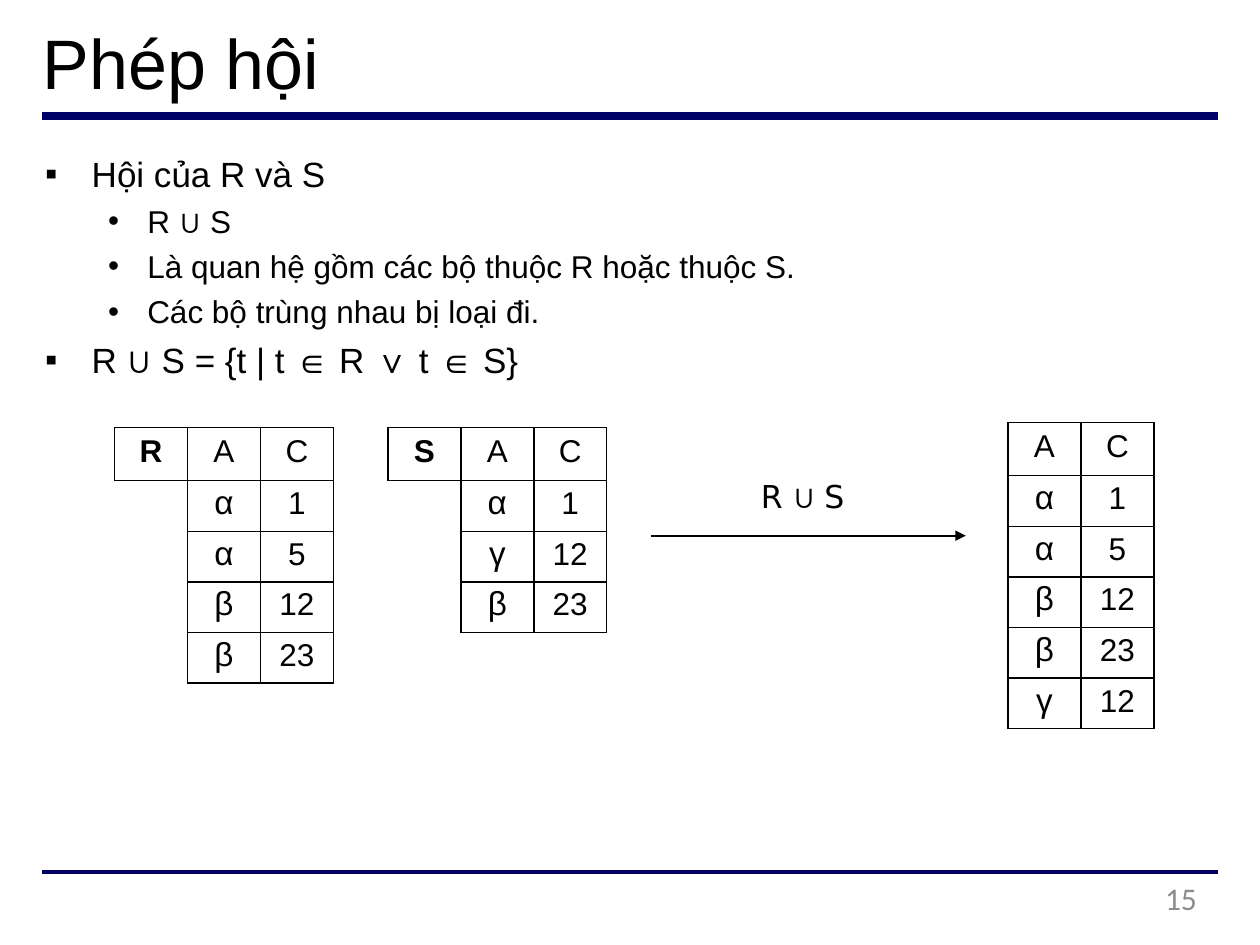
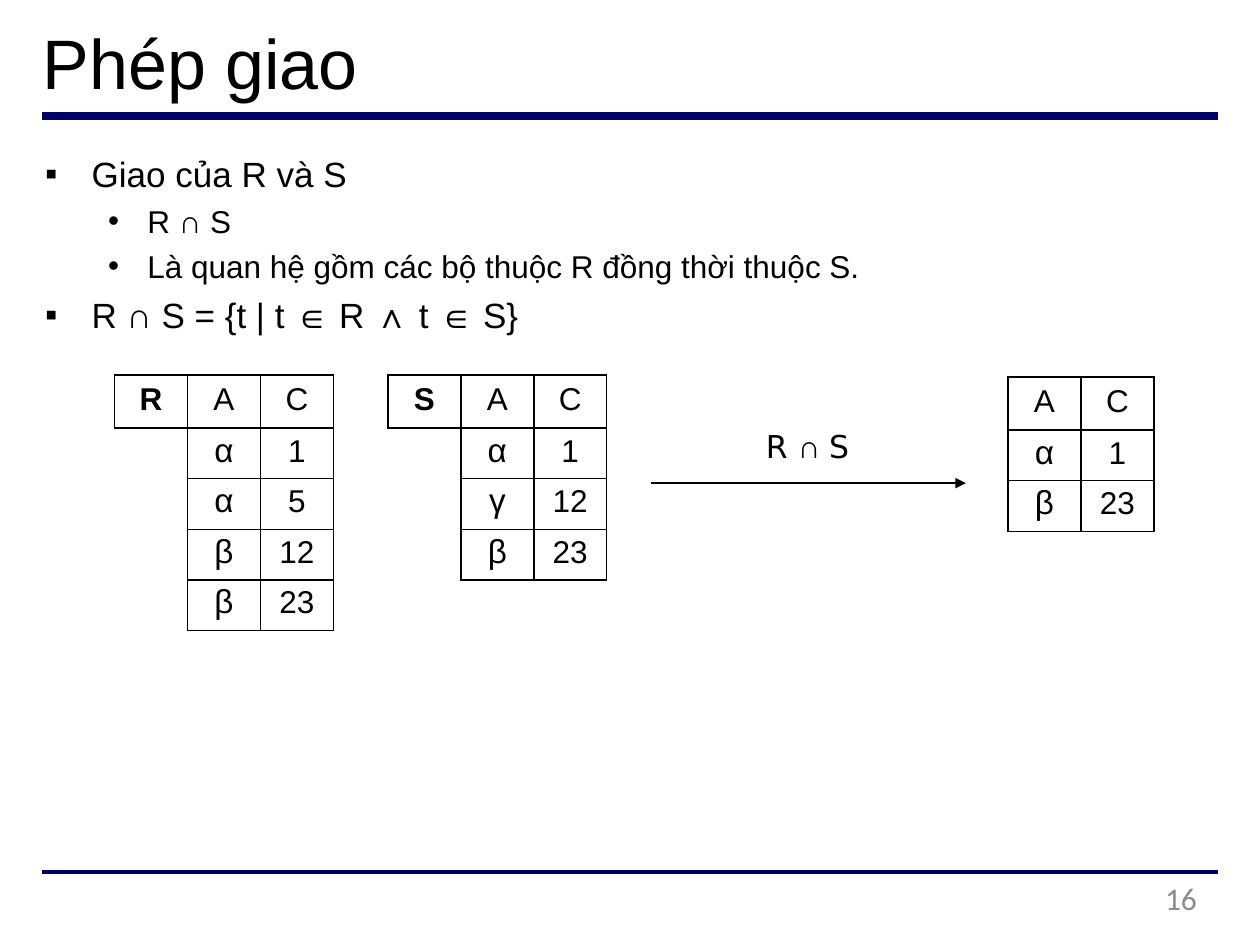
"""Builds two slides on the union and the intersection of relations."""
from dataclasses import dataclass

from lxml import etree
from pptx import Presentation
from pptx.dml.color import RGBColor
from pptx.enum.shapes import MSO_CONNECTOR
from pptx.enum.text import MSO_ANCHOR, PP_ALIGN
from pptx.oxml.ns import qn
from pptx.util import Cm, Pt

STRAIGHT = MSO_CONNECTOR.STRAIGHT
TOP = MSO_ANCHOR.TOP
LEFT, CENTER, RIGHT = PP_ALIGN.LEFT, PP_ALIGN.CENTER, PP_ALIGN.RIGHT
SIDES = "LRTB"


@dataclass(frozen=True)
class Theme:
    ink: str = "000000"
    rule: str = "000066"
    muted: str = "8C8C8C"
    font: str = "Arial"
    label_font: str = "DejaVu Sans"
    number_font: str = "Calibri"
    title_size: int = 40
    body_size: int = 20
    text_size: int = 18
    greek_size: int = 19
    column: float = 1.47
    header_row: float = 1.07
    row: float = 1.02


class Deck:
    """Holds the theme and the slide being drawn."""

    def __init__(self, theme):
        self.theme = theme
        self.presentation = Presentation()
        self.presentation.slide_width = Cm(25.4)
        self.presentation.slide_height = Cm(19.05)
        self.slide = None

    def start_slide(self, title, number):
        theme = self.theme
        self.slide = self.presentation.slides.add_slide(self.presentation.slide_layouts[6])
        for y, width in ((2.33, 4.5), (17.57, 2.25)):
            self.line(0.85, 24.55, y, theme.rule, width)
        self.text(0.86, 0.38, 21.18, 1.75, [(title, theme.font)], theme.title_size)
        self.text(18.29, 17.7, 5.84, 0.97, [(str(number), theme.number_font)],
                  theme.text_size, theme.muted, RIGHT)

    def line(self, start, end, y, color, width):
        rule = self.slide.shapes.add_connector(STRAIGHT, Cm(start), Cm(y), Cm(end), Cm(y))
        rule.line.color.rgb = RGBColor.from_string(color)
        rule.line.width = Pt(width)
        etree.SubElement(rule._element.spPr, qn("a:effectLst"))
        return rule

    def arrow(self, start, end, y):
        shaft = self.line(start, end, y, self.theme.ink, 1.25)
        etree.SubElement(shaft.line._get_or_add_ln(), qn("a:tailEnd"), type="triangle")

    def run(self, paragraph, text, font, size, color, bold=False):
        run = paragraph.add_run()
        run.text = text
        run.font.name = font
        run.font.size = Pt(size)
        run.font.bold = bold
        run.font.color.rgb = RGBColor.from_string(color)

    def frame(self, left, top, width, height, top_inset=0.0):
        box = self.slide.shapes.add_textbox(Cm(left), Cm(top), Cm(width), Cm(height))
        frame = box.text_frame
        frame.word_wrap = True
        frame.margin_left = frame.margin_right = frame.margin_bottom = 0
        frame.margin_top = Cm(top_inset)
        return frame

    def text(self, left, top, width, height, runs, size, color=None, align=LEFT):
        paragraph = self.frame(left, top, width, height, 0.02).paragraphs[0]
        paragraph.alignment = align
        for words, font in runs:
            self.run(paragraph, words, font, size, color or self.theme.ink)

    def bullets(self, items):
        theme = self.theme
        styles = (("▪", 0.99, -0.94, 4.7, theme.body_size),
                  ("•", 2.11, -0.79, 4.3, theme.text_size))
        frame = self.frame(0.86, 2.87, 21, 4.85, 0.2)
        for index, (level, words) in enumerate(items):
            mark, margin, indent, gap, size = styles[level]
            paragraph = frame.paragraphs[0] if index == 0 else frame.add_paragraph()
            paragraph.level = level
            properties = paragraph._p.get_or_add_pPr()
            properties.set("marL", str(Cm(margin)))
            properties.set("indent", str(Cm(indent)))
            etree.SubElement(properties, qn("a:buFont"), typeface=theme.font)
            etree.SubElement(properties, qn("a:buChar"), char=mark)
            if index:
                paragraph.space_before = Pt(gap)
            self.run(paragraph, words, theme.font, size, theme.ink)

    def borders(self, cell, drawn):
        properties = cell._tc.get_or_add_tcPr()
        for side in SIDES:
            edge = etree.SubElement(properties, qn(f"a:ln{side}"), w=str(Pt(1)))
            if side in drawn:
                fill = etree.SubElement(edge, qn("a:solidFill"))
                etree.SubElement(fill, qn("a:srgbClr"), val=self.theme.ink)
            else:
                etree.SubElement(edge, qn("a:noFill"))

    def cell(self, cell, words, inset, size, bold=False, drawn=SIDES):
        cell.margin_left = cell.margin_right = cell.margin_bottom = 0
        cell.margin_top = Cm(inset)
        cell.vertical_anchor = TOP
        self.borders(cell, drawn)
        cell.fill.background()
        if words:
            paragraph = cell.text_frame.paragraphs[0]
            paragraph.alignment = CENTER
            self.run(paragraph, words, self.theme.font, size, self.theme.ink, bold)

    def relation(self, left, top, tuples, name=None):
        theme = self.theme
        offset = 1 if name else 0
        columns, rows = 2 + offset, 1 + len(tuples)
        height = theme.header_row + theme.row * len(tuples)
        table = self.slide.shapes.add_table(
            rows, columns, Cm(left), Cm(top), Cm(theme.column * columns), Cm(height)).table
        table.first_row = table.horz_banding = False
        for column in table.columns:
            column.width = Cm(theme.column)
        for index, row in enumerate(table.rows):
            row.height = Cm(theme.row if index else theme.header_row)
        if name:
            self.cell(table.cell(0, 0), name, 0.13, theme.text_size, bold=True)
            for index in range(1, rows):
                self.cell(table.cell(index, 0), "", 0, theme.text_size,
                          drawn="TR" if index == 1 else "R")
            table.cell(1, 0).merge(table.cell(rows - 1, 0))
        for index, attribute in enumerate("AC"):
            self.cell(table.cell(0, offset + index), attribute, 0.13, theme.text_size)
        for index, (letter, value) in enumerate(tuples, 1):
            self.cell(table.cell(index, offset), letter, 0.08, theme.greek_size)
            self.cell(table.cell(index, offset + 1), str(value), 0.11, theme.text_size)

    def operation(self, symbol, top, label_left, label_top, result_top, result):
        theme = self.theme
        self.relation(2.31, top, R, "R")
        self.relation(7.82, top, S, "S")
        self.arrow(13.12, 19.47, top + 2.18)
        self.text(label_left, label_top, 2.2, 0.84,
                  [("R ", theme.label_font), (f"{symbol} ", theme.font), ("S", theme.label_font)],
                  theme.text_size)
        self.relation(20.32, result_top, result)


R = [("α", 1), ("α", 5), ("β", 12), ("β", 23)]
S = [("α", 1), ("γ", 12), ("β", 23)]


def main():
    union = R + [pair for pair in S if pair not in R]
    intersection = [pair for pair in R if pair in S]
    union[-1] = ("γ", 12)

    deck = Deck(Theme())
    deck.start_slide("Phép hội", 15)
    deck.bullets([
        (0, "Hội của R và S"),
        (1, "R ∪ S"),
        (1, "Là quan hệ gồm các bộ thuộc R hoặc thuộc S."),
        (1, "Các bộ trùng nhau bị loại đi."),
        (0, "R ∪ S = {t | t ∈ R ∨ t ∈ S}"),
    ])
    deck.operation("∪", 8.62, 15.34, 9.6, 8.52, union)

    deck.start_slide("Phép giao", 16)
    deck.bullets([
        (0, "Giao của R và S"),
        (1, "R ∩ S"),
        (1, "Là quan hệ gồm các bộ thuộc R đồng thời thuộc S."),
        (0, "R ∩ S = {t | t ∈ R ∧ t ∈ S}"),
    ])
    deck.operation("∩", 7.56, 15.44, 8.59, 7.6, intersection)
    deck.presentation.save("out.pptx")


if __name__ == "__main__":
    main()
